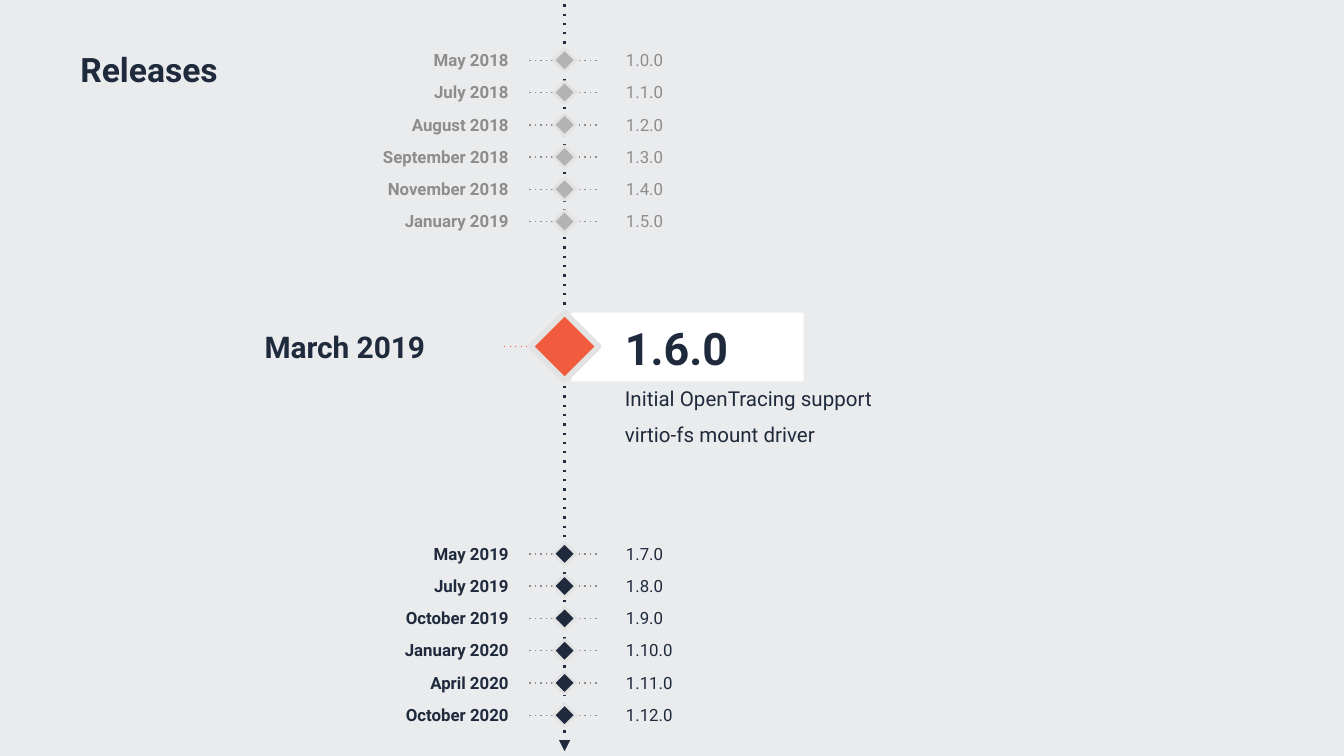
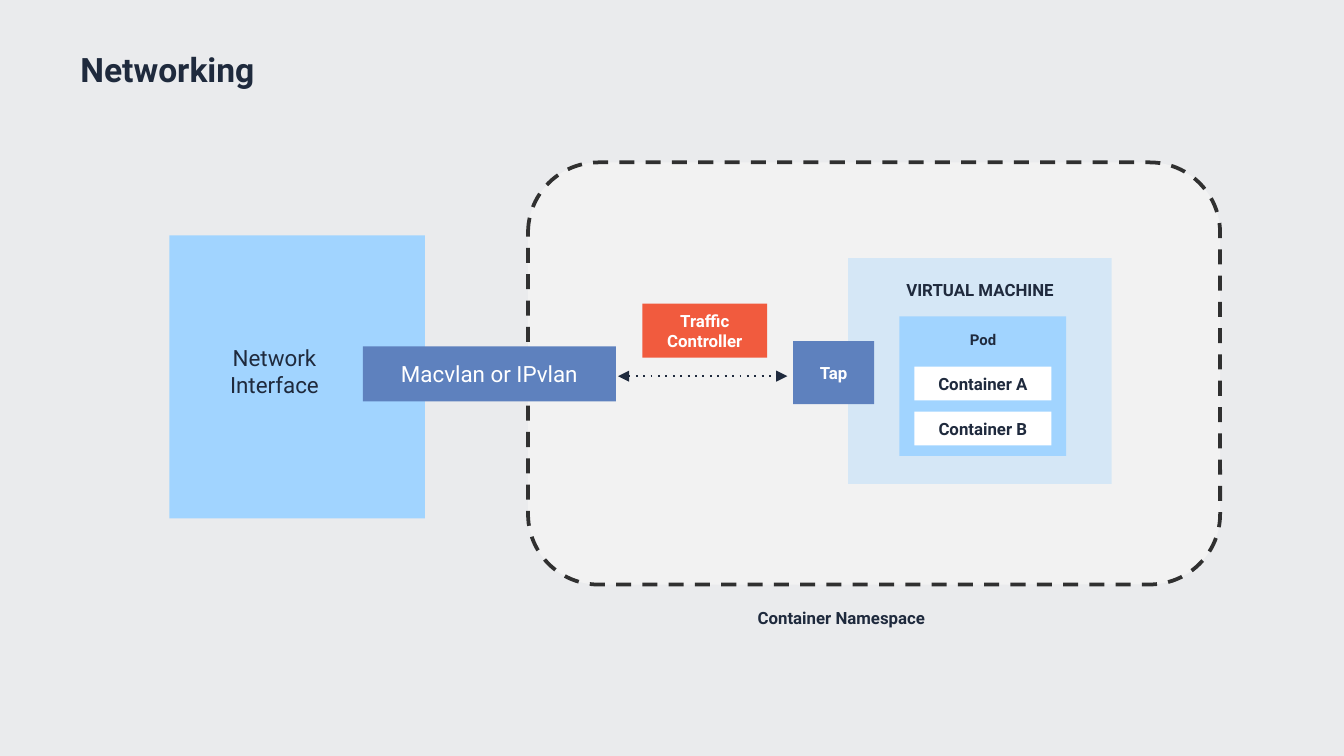
"""Build two slides: a release timeline and a container networking diagram."""
from lxml.etree import SubElement
from pptx import Presentation
from pptx.dml.color import RGBColor
from pptx.enum.shapes import MSO_CONNECTOR, MSO_SHAPE
from pptx.enum.text import MSO_ANCHOR, PP_ALIGN
from pptx.oxml.ns import qn
from pptx.util import Cm, Pt

FONT = "Roboto"
NAVY = RGBColor(0x1F, 0x2A, 0x3D)
ORANGE = RGBColor(0xF1, 0x5B, 0x3E)
SKY = RGBColor(0xA1, 0xD4, 0xFF)
BLUE = RGBColor(0x5E, 0x81, 0xBE)
WHITE = RGBColor(0xFF, 0xFF, 0xFF)
BACKGROUND = RGBColor(0xEA, 0xEB, 0xED)
PANEL = RGBColor(0xF2, 0xF2, 0xF2)
CHARCOAL = RGBColor(0x30, 0x30, 0x30)
GRAY = RGBColor(0x8D, 0x8D, 0x8D)
SILVER = RGBColor(0xB3, 0xB3, 0xB3)
PALE = RGBColor(0xE3, 0xE3, 0xE3)

LEFT, CENTER, RIGHT = PP_ALIGN.LEFT, PP_ALIGN.CENTER, PP_ALIGN.RIGHT
TOP, MIDDLE = MSO_ANCHOR.TOP, MSO_ANCHOR.MIDDLE

PAST = [
    ("May 2018", "1.0.0"), ("July 2018", "1.1.0"), ("August 2018", "1.2.0"),
    ("September 2018", "1.3.0"), ("November 2018", "1.4.0"), ("January 2019", "1.5.0"),
]
FUTURE = [
    ("May 2019", "1.7.0"), ("July 2019", "1.8.0"), ("October 2019", "1.9.0"),
    ("January 2020", "1.10.0"), ("April 2020", "1.11.0"), ("October 2020", "1.12.0"),
]
RELEASE_GROUPS = [(FUTURE, 10.47, NAVY, NAVY), (PAST, 1.14, GRAY, SILVER)]
CURRENT_DATE = "March 2019"
CURRENT_VERSION = "1.6.0"
CURRENT_FEATURES = ["Initial OpenTracing support", "virtio-fs mount driver"]
AXIS, PITCH, CURRENT_Y = 10.67, 0.61, 6.55

BOLD_NAVY = {"size": 9, "color": NAVY, "bold": True}
BOLD_WHITE = {"size": 9, "color": WHITE, "bold": True}
PLAIN_NAVY = {"size": 12, "color": NAVY}
PLAIN_WHITE = {"size": 12, "color": WHITE}

NETWORK_BOX = (3.2, 4.45, 4.83, 5.35)
NAMESPACE_BOX = (9.98, 3.07, 13.08, 7.98)
MACHINE_BOX = (16.03, 4.88, 4.98, 4.27)
POD_BOX = (17, 5.98, 3.15, 2.64)
NETWORK_BLOCKS = [
    ("Tap", (14.99, 6.45, 1.53, 1.19), BLUE, BOLD_WHITE, MIDDLE),
    ("Macvlan or IPvlan", (6.86, 6.55, 4.78, 1.04), BLUE, PLAIN_WHITE, MIDDLE),
    ("Traffic\nController", (12.14, 5.74, 2.36, 1.02), ORANGE, BOLD_WHITE, TOP),
]
CONTAINERS = ["Container A", "Container B"]
NETWORK_LABELS = [
    ("VIRTUAL MACHINE", (16.03, 5.16, 4.98, 0.64), BOLD_NAVY),
    ("Pod", (17.02, 6.12, 3.12, 0.61), {**BOLD_NAVY, "size": 8}),
    ("Container Namespace", (13.41, 11.35, 4.98, 0.64), BOLD_NAVY),
    ("Network Interface", (3.63, 6.38, 3.12, 1.27), PLAIN_NAVY),
]


def set_attributes(target, values):
    for name, value in values.items():
        setattr(target, name, value)


def write(shape, text, size, color, bold=False, align=LEFT, anchor=TOP, inset=(0.25, 0.13)):
    frame = shape.text_frame
    side, edge = (Cm(value) for value in inset)
    set_attributes(frame, {
        "word_wrap": True, "vertical_anchor": anchor, "margin_left": side,
        "margin_right": side, "margin_top": edge, "margin_bottom": edge,
    })
    frame.text = text
    for paragraph in frame.paragraphs:
        paragraph.alignment = align
        set_attributes(paragraph.font, {"name": FONT, "size": Pt(size), "bold": bold})
        paragraph.font.color.rgb = color
    return frame


def add_text(slide, box, text, **style):
    shape = slide.shapes.add_textbox(*map(Cm, box))
    return write(shape, text, **style)


def set_line(shape, color, width, dash=None, ends=()):
    shape.line.color.rgb = color
    shape.line.width = Pt(width)
    line = shape._element.spPr.find(qn("a:ln"))
    if dash:
        SubElement(line, qn("a:prstDash"), val=dash)
    for end in ends:
        SubElement(line, qn(f"a:{end}"), type="triangle")


def add_block(slide, box, fill, kind=MSO_SHAPE.RECTANGLE):
    shape = slide.shapes.add_shape(kind, *map(Cm, box))
    shape.shadow.inherit = False
    shape.fill.solid()
    shape.fill.fore_color.rgb = fill
    shape.line.fill.background()
    return shape


def add_dotted(slide, start, end, color, width, ends=()):
    points = map(Cm, (*start, *end))
    connector = slide.shapes.add_connector(MSO_CONNECTOR.STRAIGHT, *points)
    set_line(connector, color, width, "dot", ends)
    SubElement(connector._element.spPr, qn("a:effectLst"))


def add_diamond(slide, y, side, fill, border):
    shape = add_block(slide, (AXIS - side / 2, y - side / 2, side, side), fill)
    shape.rotation = 45
    set_line(shape, PALE, border)


def add_slide(presentation):
    slide = presentation.slides.add_slide(presentation.slide_layouts[6])
    slide.background.fill.solid()
    slide.background.fill.fore_color.rgb = BACKGROUND
    return slide


def add_title(slide, title):
    add_text(slide, (1.27, 0.25, 16.26, 2.13), title, size=18, color=NAVY,
             bold=True, anchor=MIDDLE, inset=(0.25, 0.25))


def add_release(slide, date, version, y, color, fill):
    style = {"size": 9, "color": color, "inset": (0.1, 0.13)}
    add_text(slide, (11.73, y - 0.33, 1.4, 0.64), version, **style)
    add_text(slide, (7.12, y - 0.33, 2.59, 0.64), date, bold=True, align=RIGHT, **style)
    add_dotted(slide, (11.28, y), (10, y), GRAY, 0.75)
    add_diamond(slide, y, 0.3, fill, 1.5)


def build_releases(presentation):
    slide = add_slide(presentation)
    add_title(slide, "Releases")
    add_dotted(slide, (AXIS, 0.08), (AXIS, 14.2), NAVY, 1.25, ["tailEnd"])
    for releases, first, color, fill in RELEASE_GROUPS:
        for index, (date, version) in enumerate(releases):
            add_release(slide, date, version, first + index * PITCH, color, fill)
    add_dotted(slide, (10.8, CURRENT_Y), (9.53, CURRENT_Y), ORANGE, 0.75)
    add_block(slide, (10.8, 5.91, 4.39, 1.3), WHITE)
    text = "\n".join([CURRENT_VERSION, *CURRENT_FEATURES])
    frame = add_text(slide, (11.56, 5.82, 11.46, 6.25), text, size=11, color=NAVY,
                     inset=(0.25, 0.25))
    version, *features = frame.paragraphs
    set_attributes(version.font, {"size": Pt(24), "bold": True})
    for feature in features:
        feature.space_before = Pt(6)
    add_text(slide, (4.75, 5.82, 5.03, 1.45), CURRENT_DATE, size=16, color=NAVY,
             bold=True, anchor=MIDDLE, inset=(0.25, 0.25))
    add_diamond(slide, CURRENT_Y, 0.91, ORANGE, 3)


def build_networking(presentation):
    slide = add_slide(presentation)
    add_block(slide, NETWORK_BOX, SKY)
    namespace = add_block(slide, NAMESPACE_BOX, PANEL, MSO_SHAPE.ROUNDED_RECTANGLE)
    set_line(namespace, CHARCOAL, 2, "dash")
    add_title(slide, "Networking")
    machine = add_block(slide, MACHINE_BOX, SKY)
    color = machine._element.spPr.find(qn("a:solidFill"))[0]
    SubElement(color, qn("a:alpha"), val="35000")
    add_block(slide, POD_BOX, SKY)
    for index, name in enumerate(CONTAINERS):
        block = add_block(slide, (17.28, 6.93 + index * 0.85, 2.59, 0.64), WHITE)
        write(block, name, align=CENTER, **BOLD_NAVY)
    add_dotted(slide, (11.68, 7.11), (14.88, 7.11), NAVY, 1, ["headEnd", "tailEnd"])
    for text, box, fill, style, anchor in NETWORK_BLOCKS:
        block = add_block(slide, box, fill)
        write(block, text, align=CENTER, anchor=anchor, inset=(0, 0.13), **style)
    for text, box, style in NETWORK_LABELS:
        add_text(slide, box, text, align=CENTER, **style)


def main():
    presentation = Presentation()
    set_attributes(presentation, {"slide_width": Cm(25.4), "slide_height": Cm(14.29)})
    build_releases(presentation)
    build_networking(presentation)
    presentation.save("out.pptx")


if __name__ == "__main__":
    main()
